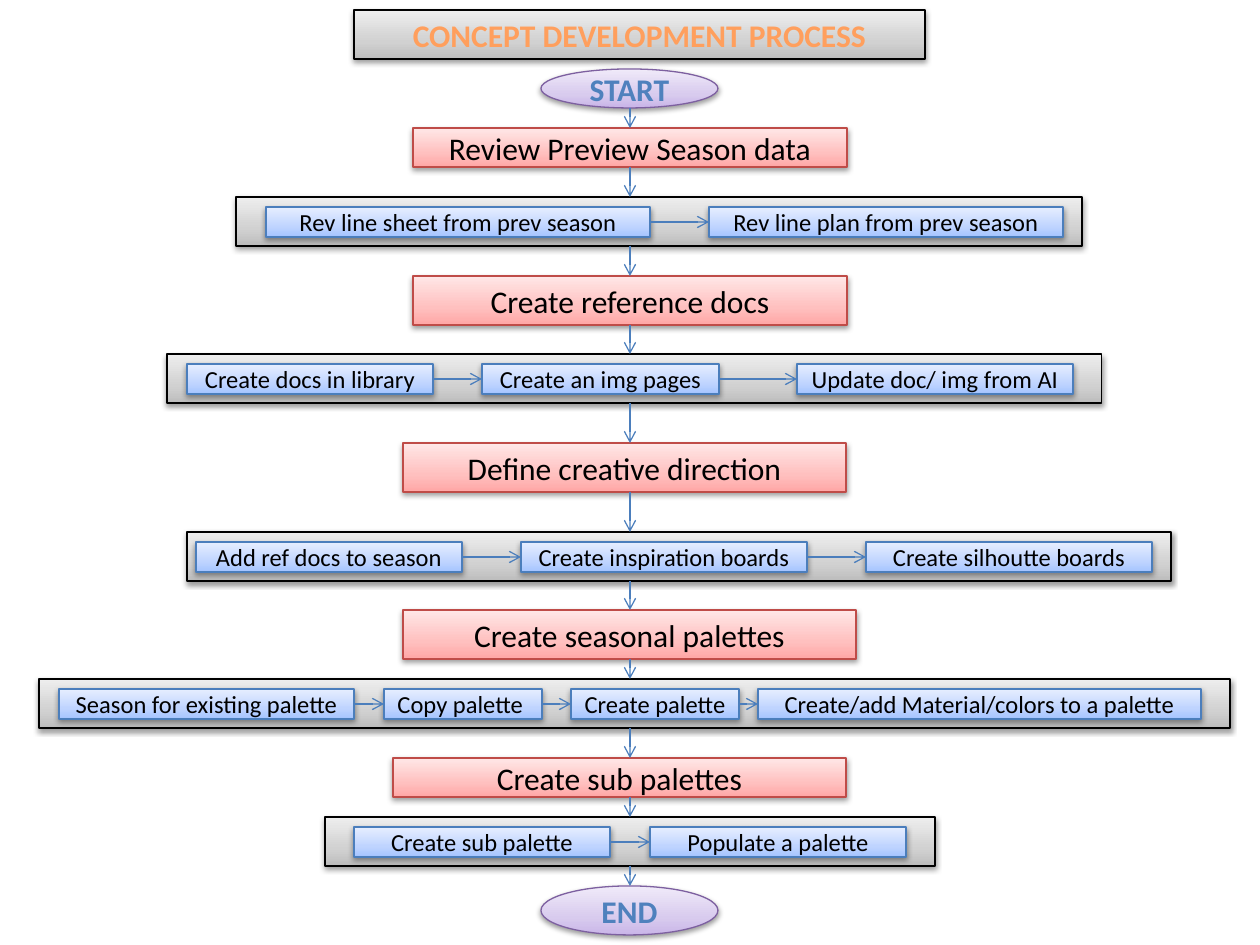
from dataclasses import dataclass
from itertools import pairwise

from pptx import Presentation
from pptx.dml.color import RGBColor
from pptx.enum.shapes import MSO_CONNECTOR, MSO_SHAPE
from pptx.enum.text import MSO_ANCHOR, PP_ALIGN
from pptx.oxml import parse_xml
from pptx.oxml.ns import nsdecls, qn
from pptx.oxml.xmlchemy import OxmlElement
from pptx.util import Emu, Pt

PIXEL = 914400 // 126
SPINE_X = 630
PANEL_HEIGHT = 49
STEP_INSET, STEP_HEIGHT = 10, 30


@dataclass(frozen=True)
class Look:
    bottom: str
    middle: str
    top: str
    outline: str
    text: str = "000000"
    size: int = 18
    bold: bool = False


@dataclass(frozen=True)
class Theme:
    title = Look("BDBDBD", "D1D1D1", "EEEEEE", "000000", "FF9F5D", bold=True)
    panel = Look("BDBDBD", "D1D1D1", "EEEEEE", "000000")
    stage = Look("FFA6A5", "FFC0BF", "FFE7E7", "BF4C48")
    step = Look("A4C4FF", "BFD4FF", "E6EEFF", "4B7EBC", size=14)
    terminal = Look("C9B5E8", "D8CBEE", "F0EAF9", "7D60A0", "4F81BD", bold=True)
    arrow = "4B7EBC"
    font = "Calibri"
    line_width = Pt(0.75)


THEME = Theme()

TITLE = ("CONCEPT DEVELOPMENT PROCESS", (354, 10, 571, 49))
START = ("START", (541, 69, 177, 39))
END = ("END", (541, 886, 177, 49))

# Stage name, stage box, panel (left, top, width), steps (left, width, text)
STAGES = [
    ("Review Preview Season data", (413, 128, 434, 39), (236, 197, 846),
     [(266, 384, "Rev line sheet from prev season"),
      (709, 354, "Rev line plan from prev season")]),
    ("Create reference docs", (413, 276, 434, 49), (167, 354, 935),
     [(187, 246, "Create docs in library"),
      (482, 237, "Create an img pages"),
      (797, 276, "Update doc/ img from AI")]),
    ("Define creative direction", (403, 443, 443, 49), (187, 532, 984),
     [(196, 266, "Add ref docs to season"),
      (521, 286, "Create inspiration boards"),
      (866, 286, "Create silhoutte boards")]),
    ("Create seasonal palettes", (403, 610, 453, 49), (39, 679, 1191),
     [(59, 295, "Season for existing palette"),
      (384, 158, "Copy palette "),
      (571, 168, "Create palette "),
      (758, 443, "Create/add Material/colors to a palette")]),
    ("Create sub palettes", (393, 758, 453, 39), (325, 817, 610),
     [(354, 256, "Create sub palette"),
      (650, 256, "Populate a palette")]),
]


def px(value):
    return Emu(value * PIXEL)


def apply(target, values):
    for name, value in values.items():
        setattr(target, name, value)


def add_gradient(shape, look):
    stops = zip((0, 35000, 100000), (look.bottom, look.middle, look.top))
    stops_xml = "".join(
        f'<a:gs pos="{pos}"><a:srgbClr val="{color}"/></a:gs>' for pos, color in stops)
    gradient = parse_xml(
        f'<a:gradFill {nsdecls("a")} rotWithShape="1"><a:gsLst>{stops_xml}</a:gsLst>'
        '<a:lin ang="16200000" scaled="0"/></a:gradFill>')
    shape.element.spPr.find(qn("a:prstGeom")).addnext(gradient)


def add_soft_shadow(shape):
    shape.shadow.inherit = False
    shape.element.spPr.find(qn("a:effectLst")).append(parse_xml(
        f'<a:outerShdw {nsdecls("a")} blurRad="40000" dist="20000" dir="5400000" '
        'rotWithShape="0"><a:srgbClr val="000000"><a:alpha val="38000"/></a:srgbClr>'
        '</a:outerShdw>'))


def add_box(slide, box, look, text="", kind=MSO_SHAPE.RECTANGLE):
    shape = slide.shapes.add_shape(kind, *map(px, box))
    add_gradient(shape, look)
    shape.line.color.rgb = RGBColor.from_string(look.outline)
    shape.line.width = THEME.line_width
    add_soft_shadow(shape)
    if text:
        apply(shape.text_frame, {"word_wrap": True, "vertical_anchor": MSO_ANCHOR.MIDDLE})
        paragraph = shape.text_frame.paragraphs[0]
        paragraph.alignment = PP_ALIGN.CENTER
        run = paragraph.add_run()
        run.text = text
        apply(run.font, {"name": THEME.font, "size": Pt(look.size), "bold": look.bold})
        run.font.color.rgb = RGBColor.from_string(look.text)
    return shape


def add_arrow(slide, *ends):
    arrow = slide.shapes.add_connector(MSO_CONNECTOR.STRAIGHT, *map(px, ends))
    arrow.line.color.rgb = RGBColor.from_string(THEME.arrow)
    arrow.line.width = THEME.line_width
    head = OxmlElement("a:tailEnd")
    head.set("type", "arrow")
    arrow.line._get_or_add_ln().append(head)
    arrow.element.spPr.append(OxmlElement("a:effectLst"))
    return arrow


def add_steps(slide, panel_top, steps):
    top = panel_top + STEP_INSET
    boxes = [add_box(slide, (left, top, width, STEP_HEIGHT), THEME.step, text)
             for left, width, text in steps]
    for before, after in pairwise(boxes):
        arrow = add_arrow(slide, 0, 0, 0, 0)
        arrow.begin_connect(before, 3)
        arrow.end_connect(after, 1)


def main():
    deck = Presentation()
    apply(deck, {"slide_width": px(1260), "slide_height": px(945)})
    slide = deck.slides.add_slide(deck.slide_layouts[6])

    # Title and terminals
    add_box(slide, TITLE[1], THEME.title, TITLE[0])
    for text, box in (START, END):
        add_box(slide, box, THEME.terminal, text, MSO_SHAPE.OVAL)

    # Stages, each with its panel of steps
    spine = [START[1]]
    for name, stage_box, panel, steps in STAGES:
        panel_box = (*panel, PANEL_HEIGHT)
        add_box(slide, stage_box, THEME.stage, name)
        add_box(slide, panel_box, THEME.panel)
        add_steps(slide, panel[1], steps)
        spine += [stage_box, panel_box]
    spine.append(END[1])

    # Arrows down the spine
    for (_, top, _, height), (_, next_top, _, _) in pairwise(spine):
        add_arrow(slide, SPINE_X, top + height, SPINE_X, next_top)

    deck.save("out.pptx")


main()
